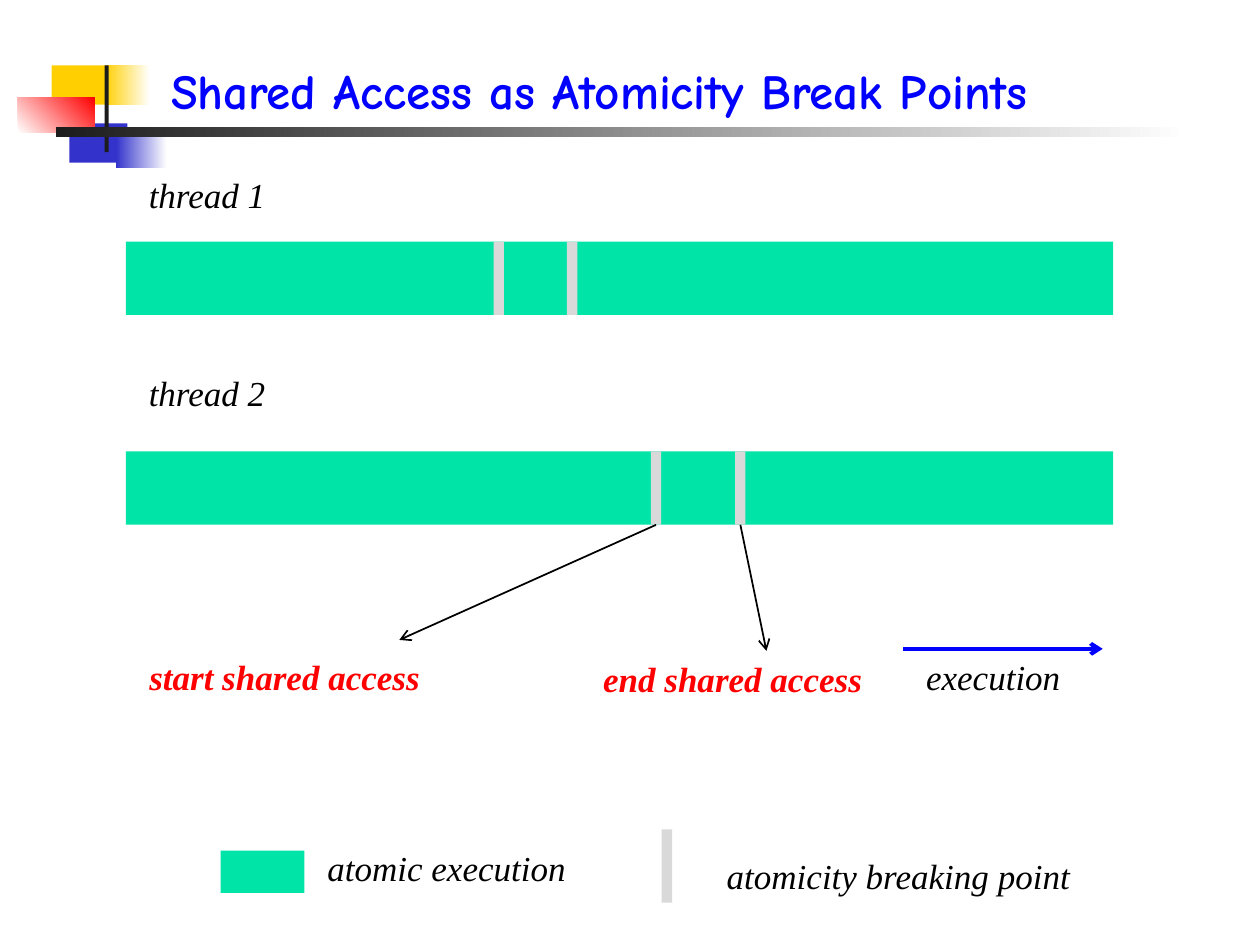
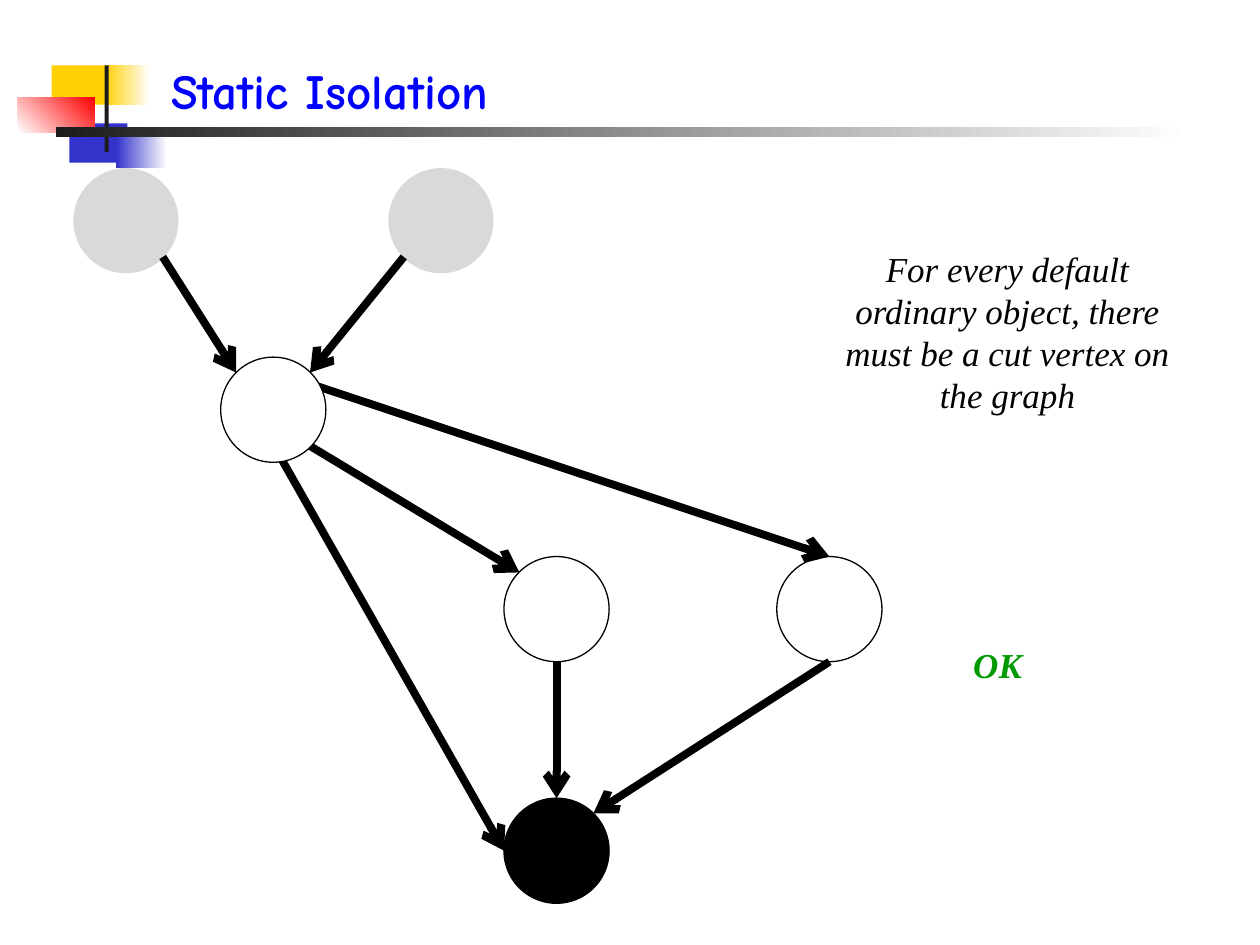
from lxml import etree
from pptx import Presentation
from pptx.dml.color import RGBColor
from pptx.enum.shapes import MSO_CONNECTOR, MSO_SHAPE
from pptx.enum.text import MSO_ANCHOR, PP_ALIGN
from pptx.oxml.ns import qn
from pptx.util import Cm, Pt

RECTANGLE = MSO_SHAPE.RECTANGLE
OVAL = MSO_SHAPE.OVAL
STRAIGHT = MSO_CONNECTOR.STRAIGHT
LEFT = PP_ALIGN.LEFT
CENTER = PP_ALIGN.CENTER
BOTTOM = MSO_ANCHOR.BOTTOM

WHITE = RGBColor(0xFF, 0xFF, 0xFF)
BLACK = RGBColor(0x00, 0x00, 0x00)
CHARCOAL = RGBColor(0x1C, 0x1C, 0x1C)
GREY = RGBColor(0xD9, 0xD9, 0xD9)
YELLOW = RGBColor(0xFF, 0xCF, 0x01)
INDIGO = RGBColor(0x33, 0x33, 0xCC)
BLUE = RGBColor(0x00, 0x00, 0xFF)
RED = RGBColor(0xFF, 0x00, 0x00)
MINT = RGBColor(0x00, 0xE4, 0xA8)
GREEN = RGBColor(0x00, 0x99, 0x00)

TITLE_FONT = "Comic Neue"
BODY_FONT = "Times New Roman"


def add_block(slide, kind, left, top, width, height, colours, angle=0, outline=None):
    block = slide.shapes.add_shape(kind, Cm(left), Cm(top), Cm(width), Cm(height))
    block.shadow.inherit = False
    if len(colours) == 1:
        block.fill.solid()
        block.fill.fore_color.rgb = colours[0]
    else:
        block.fill.gradient()
        block.fill.gradient_angle = angle
        for stop, colour in zip(block.fill.gradient_stops, colours):
            stop.color.rgb = colour
    if outline is None:
        block.line.fill.background()
    else:
        block.line.color.rgb = outline
        block.line.width = Pt(0.75)


def add_arrow(slide, start, end, colour, weight):
    arrow = slide.shapes.add_connector(
        STRAIGHT, Cm(start[0]), Cm(start[1]), Cm(end[0]), Cm(end[1]))
    arrow.line.color.rgb = colour
    arrow.line.width = Pt(weight)
    properties = arrow._element.spPr
    etree.SubElement(properties.find(qn("a:ln")), qn("a:tailEnd"), type="arrow")
    etree.SubElement(properties, qn("a:effectLst"))


deck = Presentation()
deck.slide_width = Cm(25.4)
deck.slide_height = Cm(19.05)
blank = deck.slide_layouts[6]
atomicity = deck.slides.add_slide(blank)
isolation = deck.slides.add_slide(blank)

ornament = [
    (1.04, 1.32, 1.22, 0.79, [YELLOW], 0),
    (2.11, 1.32, 0.91, 0.79, [YELLOW, WHITE], 0),
    (1.4, 2.49, 1.17, 0.79, [INDIGO], 0),
    (2.34, 2.59, 1.02, 0.79, [INDIGO, WHITE], 0),
    (0.36, 1.96, 1.55, 0.71, [WHITE, RED], 45),
    (2.11, 1.32, 0.08, 1.75, [CHARCOAL], 0),
    (1.12, 2.57, 22.86, 0.2, [CHARCOAL, WHITE], 0),
]
titles = [
    (atomicity, "Shared Access as Atomicity Break Points"),
    (isolation, "Static Isolation"),
]
for slide, title in titles:
    for left, top, width, height, colours, angle in ornament:
        add_block(slide, RECTANGLE, left, top, width, height, colours, angle)
    title_frame = slide.shapes.add_textbox(Cm(3.2), Cm(0.64), Cm(21.64), Cm(1.9)).text_frame
    title_frame.word_wrap = True
    title_frame.vertical_anchor = BOTTOM
    title_run = title_frame.paragraphs[0].add_run()
    title_run.text = title
    title_run.font.name = TITLE_FONT
    title_run.font.size = Pt(28)
    title_run.font.bold = True
    title_run.font.color.rgb = BLUE

bar_height = 1.48
break_width = 0.21
threads = [
    (4.87, [9.95, 11.43]),
    (9.1, [13.12, 14.82]),
]
for bar_top, breaks in threads:
    add_block(atomicity, RECTANGLE, 2.54, bar_top, 19.9, bar_height, [MINT])
    for break_left in breaks:
        add_block(atomicity, RECTANGLE, break_left, bar_top, break_width, bar_height, [GREY])

add_block(atomicity, RECTANGLE, 4.45, 17.15, 1.69, 0.85, [MINT])
add_block(atomicity, RECTANGLE, 13.34, 16.72, break_width, bar_height, [GREY])

callout_targets = [(8.05, 12.9), (15.45, 13.12)]
for break_left, target in zip(breaks, callout_targets):
    add_arrow(atomicity, (break_left + break_width / 2, bar_top + bar_height), target, BLACK, 1)
add_arrow(atomicity, (18.2, 13.08), (22.23, 13.08), BLUE, 2.25)

diameter = 2.12
nodes = [
    (10.16, 16.09, BLACK, BLACK),
    (10.16, 11.22, WHITE, BLACK),
    (15.66, 11.22, WHITE, BLACK),
    (7.83, 3.39, GREY, None),
    (1.48, 3.39, GREY, None),
]
for left, top, colour, outline in nodes:
    add_block(isolation, OVAL, left, top, diameter, diameter, [colour], outline=outline)

edges = [
    ((6.25, 8.99), (10.47, 11.54)),
    ((5.28, 8.56), (10.16, 17.15)),
    ((6.35, 7.77), (16.72, 11.22)),
    ((11.22, 13.34), (11.22, 16.09)),
    ((16.72, 13.34), (11.96, 16.4)),
    ((3.28, 5.18), (4.76, 7.51)),
    ((8.14, 5.18), (6.25, 7.51)),
]
for start, end in edges:
    add_arrow(isolation, start, end, BLACK, 4.5)
add_block(isolation, OVAL, 4.45, 7.2, diameter, diameter, [WHITE], outline=BLACK)

requirement = ("For every default ordinary object, there must be "
               "a cut vertex on the graph")
labels = [
    (atomicity, "thread 1", 2.75, 3.38, 3.12, 1.12, BLACK, False, LEFT),
    (atomicity, "thread 2", 2.75, 7.37, 3.17, 1.12, BLACK, False, LEFT),
    (atomicity, "atomic execution", 6.35, 16.93, 5.77, 1.12, BLACK, False, LEFT),
    (atomicity, "execution", 18.42, 13.08, 3.6, 1.12, BLACK, False, LEFT),
    (atomicity, "atomicity breaking point", 14.4, 17.1, 7.72, 1.12, BLACK, False, LEFT),
    (atomicity, "start shared access", 2.76, 13.08, 6.25, 1.12, RED, True, LEFT),
    (atomicity, "end shared access", 11.76, 13.13, 6.02, 1.12, RED, True, CENTER),
    (isolation, requirement, 16.71, 4.87, 7.2, 3.68, BLACK, False, CENTER),
    (isolation, "OK", 19.37, 12.85, 1.75, 1.12, GREEN, True, LEFT),
]
for slide, wording, left, top, width, height, colour, bold, alignment in labels:
    label_frame = slide.shapes.add_textbox(Cm(left), Cm(top), Cm(width), Cm(height)).text_frame
    label_frame.word_wrap = wording == requirement
    paragraph = label_frame.paragraphs[0]
    paragraph.alignment = alignment
    run = paragraph.add_run()
    run.text = wording
    run.font.name = BODY_FONT
    run.font.size = Pt(20)
    run.font.italic = True
    run.font.bold = bold
    run.font.color.rgb = colour

deck.save("out.pptx")
